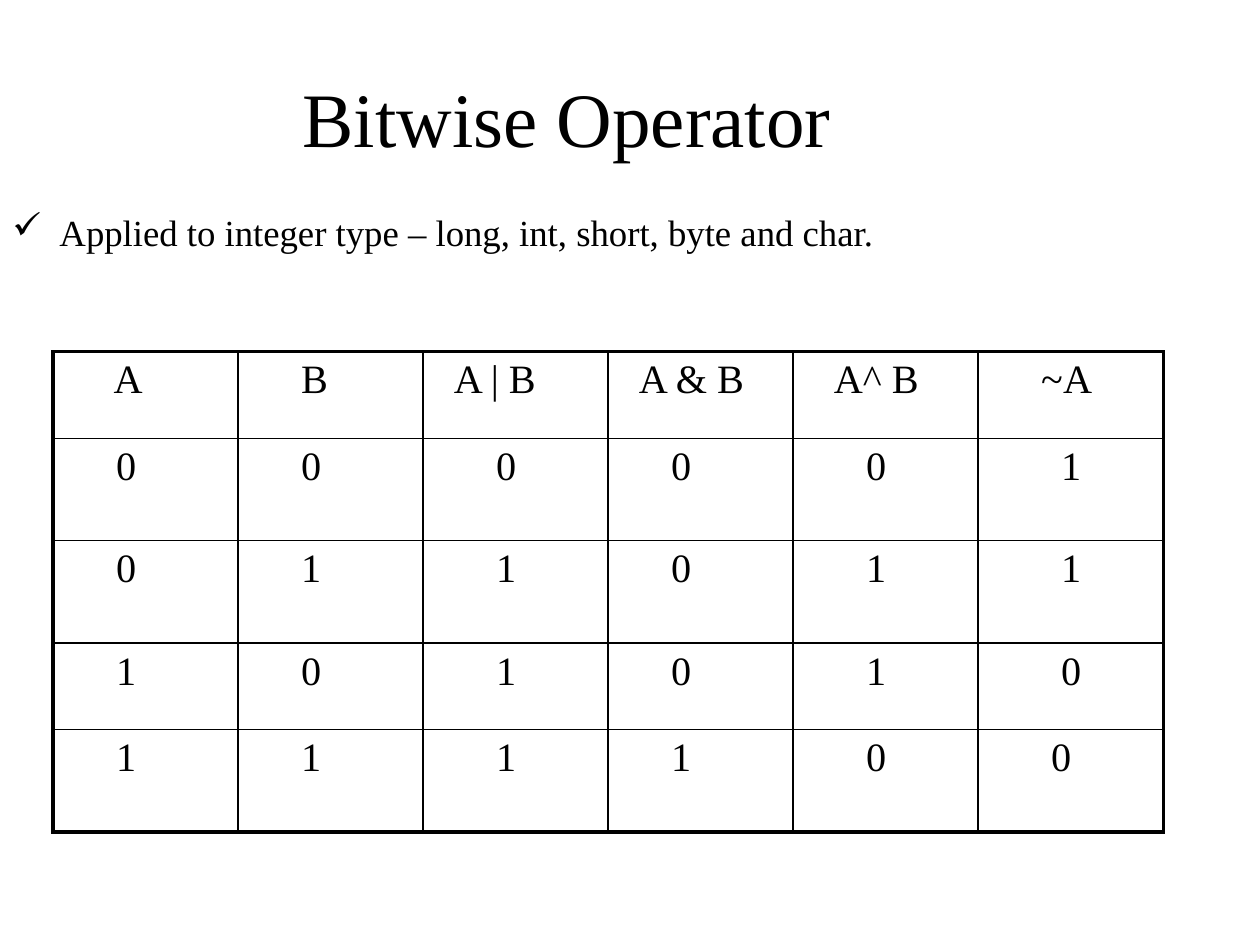
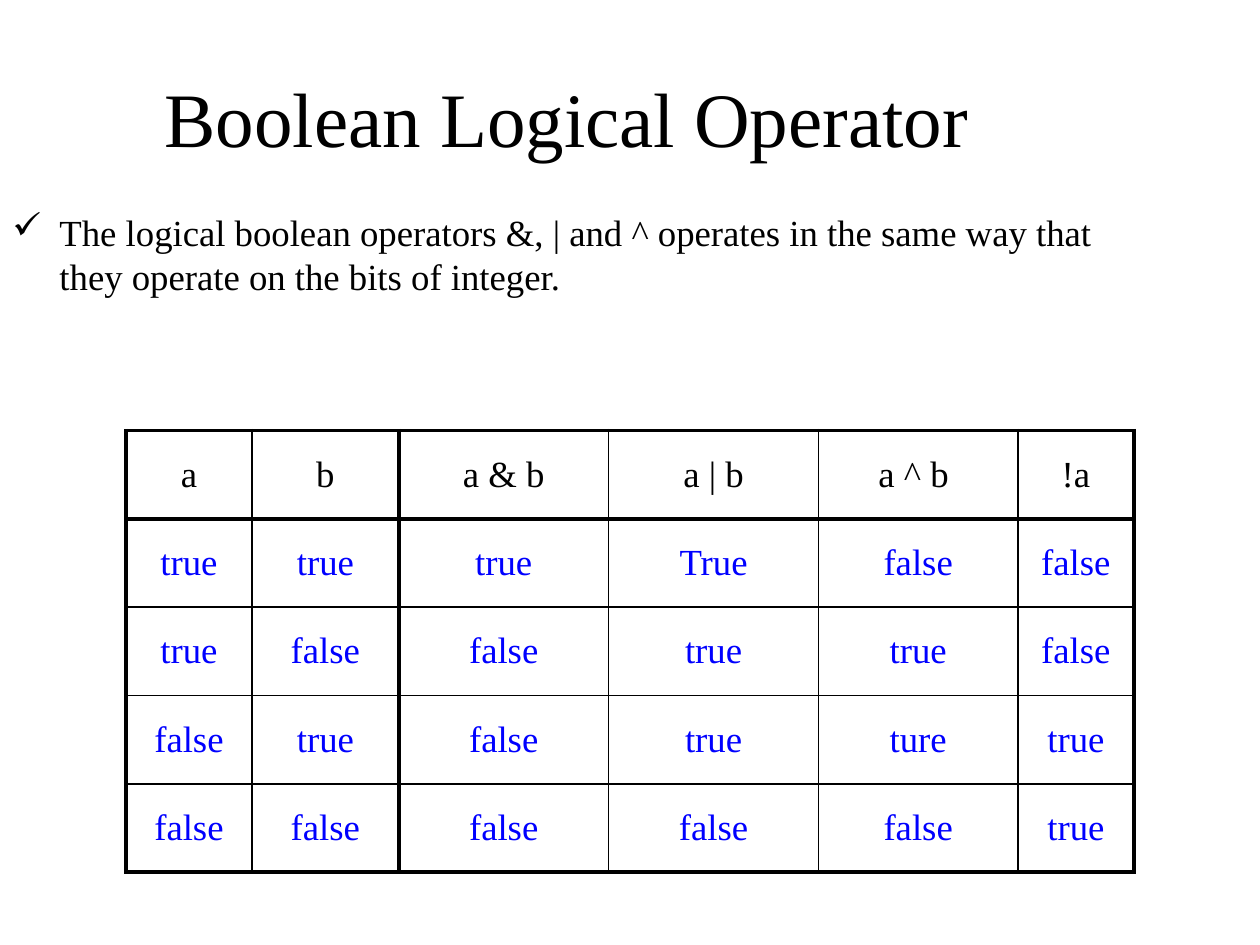
from pptx import Presentation
from pptx.util import Cm, Pt
from pptx.dml.color import RGBColor
from pptx.enum.text import PP_ALIGN, MSO_ANCHOR, MSO_AUTO_SIZE
from pptx.oxml.ns import qn
from lxml.etree import SubElement

COLORS = {"ink": "000000", "value": "0000FF", "paper": "FFFFFF"}
FONT = "Times New Roman"
THICK, THIN = Pt(2.25), Pt(1)


def add_run(p, text, size, color="ink"):
    r = p.add_run()
    r.text = text
    r.font.name = FONT
    r.font.size = Pt(size)
    r.font.bold = False
    r.font.color.rgb = RGBColor.from_string(COLORS[color])


def add_borders(cell, widths):
    tcPr = cell._tc.get_or_add_tcPr()
    for side, width in zip("LRTB", widths):
        ln = SubElement(tcPr, qn(f"a:ln{side}"), w=str(width))
        fill = SubElement(ln, qn("a:solidFill"))
        SubElement(fill, qn("a:srgbClr"), val=COLORS["ink"])


slides = [
    {
        "title": "Bitwise Operator",
        "point": "Applied to integer type – long, int, short, byte and char.",
        "point_size": (22.4, 2.54),
        "table_at": (1.07, 7.09),
        "cols": [3.73] * 6,
        "rows": [1.75, 2.06, 2.06, 1.75, 2.06],
        "cells": [
            ["A", "B", "A | B", "A & B", "A^ B", "~A"],
            list("000001"),
            list("011011"),
            list("101010"),
            list("111100"),
        ],
        "size": 23,
        "value_color": "ink",
        "centred": False,
        "thick_cols": {0, 6},
        "thick_rows": {0, 5},
    },
    {
        "title": "Boolean Logical Operator",
        "point": "The logical boolean operators &, | and ^ operates in the same way "
                 "that they operate on the bits of integer.",
        "point_size": (22.63, 3.38),
        "table_at": (2.54, 8.68),
        "cols": [2.54, 2.96, 4.23, 4.23, 4.02, 2.34],
        "rows": [1.78] * 5,
        "cells": [
            ["a", "b", "a & b", "a | b", "a ^ b ", "!a"],
            ["true", "true", "true", "True", "false", "false"],
            ["true", "false", "false", "true", "true", "false"],
            ["false", "true", "false", "true", "ture", "true"],
            ["false", "false", "false", "false", "false", "true"],
        ],
        "size": 21,
        "value_color": "value",
        "centred": True,
        "thick_cols": {0, 2, 6},
        "thick_rows": {0, 1, 5},
    },
]

header_indents = [0.97, 1.02, 0.37, 0.37, 0.57, 1.02]
value_indents = [1.02, 1.02, 1.22, 1.02, 1.22, 1.42]
last_row_indents = value_indents[:5] + [1.22]
row_indents = [header_indents] + [value_indents] * 3 + [last_row_indents]

prs = Presentation()
prs.slide_width, prs.slide_height = Cm(25.4), Cm(19.05)

for data in slides:
    s = prs.slides.add_slide(prs.slide_layouts[5])
    s.background.fill.solid()
    s.background.fill.fore_color.rgb = RGBColor.from_string(COLORS["paper"])

    title = s.shapes.title
    title.left, title.top, title.width, title.height = Cm(0), Cm(0.76), Cm(22.86), Cm(3.18)
    tf = title.text_frame
    tf.auto_size = MSO_AUTO_SIZE.NONE
    tf.vertical_anchor = MSO_ANCHOR.MIDDLE
    p = tf.paragraphs[0]
    p.alignment = PP_ALIGN.CENTER
    add_run(p, data["title"], 44)

    width, height = data["point_size"]
    sp = s.shapes.add_textbox(Cm(0), Cm(4.11), Cm(width), Cm(height))
    tf = sp.text_frame
    tf.word_wrap = True
    p = tf.paragraphs[0]
    p.space_before = Pt(4.2)
    pPr = p._p.get_or_add_pPr()
    pPr.set("marL", str(Cm(0.95)))
    pPr.set("indent", str(-Cm(0.95)))
    SubElement(pPr, qn("a:buChar"), char="✓")
    add_run(p, data["point"], 21)

    left, top = data["table_at"]
    table = s.shapes.add_table(
        len(data["rows"]), len(data["cols"]), Cm(left), Cm(top),
        Cm(sum(data["cols"])), Cm(sum(data["rows"])),
    ).table
    table.first_row = table.horz_banding = False
    for col, width in zip(table.columns, data["cols"]):
        col.width = Cm(width)
    for row, height in zip(table.rows, data["rows"]):
        row.height = Cm(height)

    for i, texts in enumerate(data["cells"]):
        for j, text in enumerate(texts):
            cell = table.cell(i, j)
            widths = [THICK if n in data["thick_cols"] else THIN for n in (j, j + 1)]
            widths += [THICK if n in data["thick_rows"] else THIN for n in (i, i + 1)]
            add_borders(cell, widths)
            cell.fill.background()
            p = cell.text_frame.paragraphs[0]
            if data["centred"]:
                cell.vertical_anchor = MSO_ANCHOR.MIDDLE
                p.alignment = PP_ALIGN.CENTER
            else:
                cell.margin_left = Cm(0.25 + row_indents[i][j])
                p.space_before = Pt(4)
            add_run(p, text, data["size"], data["value_color"] if i else "ink")

prs.save("out.pptx")
